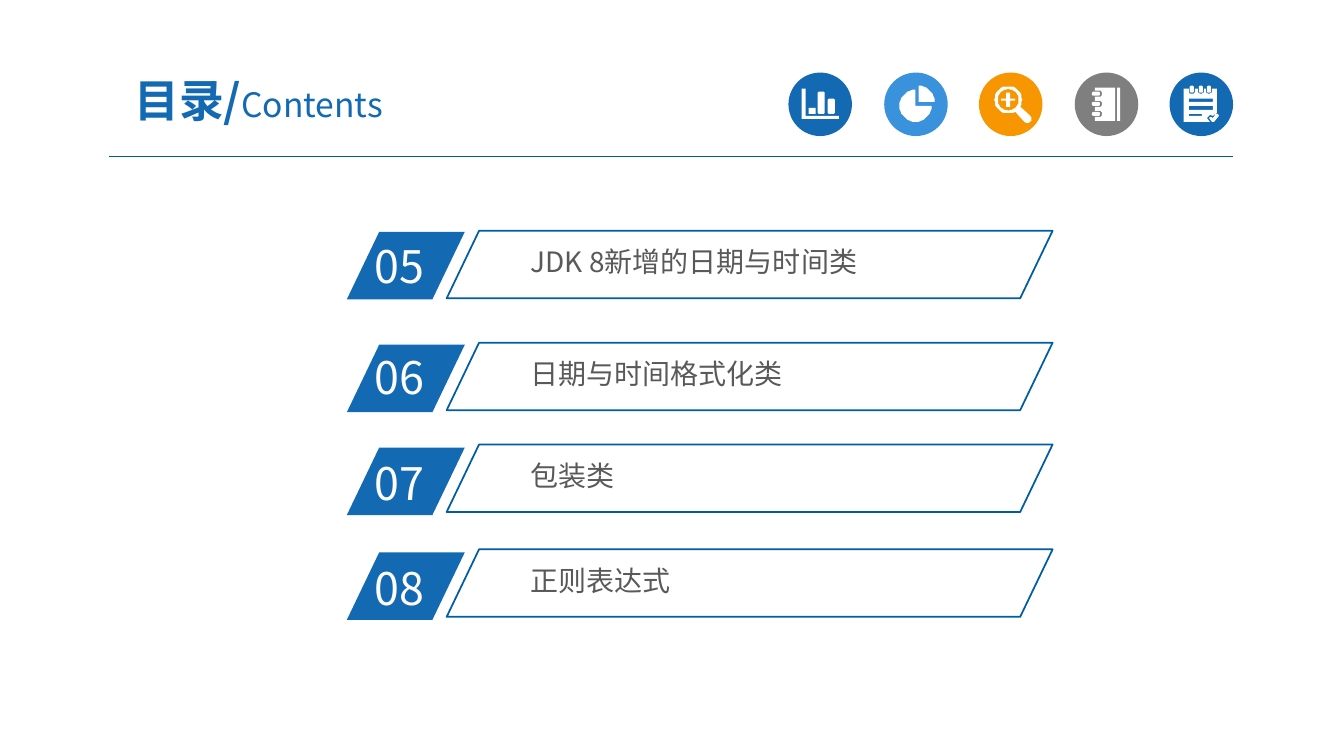
"""Builds a contents slide with four numbered entries and a row of header icons."""
import math
from dataclasses import dataclass

import pptx
import pptx.dml.color
import pptx.enum.shapes
import pptx.enum.text
import pptx.oxml
import pptx.oxml.ns
import pptx.util

PX = 9144
SLIDE_SIZE = (1333, 750)
ICON_TOP, ICON_SIZE = 72, 63
SHAPES = pptx.enum.shapes.MSO_SHAPE
ANCHOR = pptx.enum.text.MSO_ANCHOR
ALIGN = pptx.enum.text.PP_ALIGN


@dataclass(frozen=True)
class Theme:
    font: str = "Noto Sans CJK SC"
    blue: str = "1369B2"
    sky: str = "3992DB"
    orange: str = "F79600"
    grey: str = "7F7F7F"
    white: str = "FFFFFF"
    text: str = "595959"
    frame: str = "005DA2"
    rule: str = "005B9E"
    title_size: int = 32
    subtitle_size: int = 24
    number_size: int = 32
    label_size: int = 20
    frame_width: float = 1.25
    rule_width: float = 0.75


THEME = Theme()
ENTRIES = [
    ("05", "JDK 8新增的日期与时间类", 230, 232, 229),
    ("06", "日期与时间格式化类", 342, 342, 340),
    ("07", "包装类", 444, 447, 441),
    ("08", "正则表达式", 548, 551, 545),
]


def emu(*lengths):
    return [pptx.util.Emu(round(length * PX)) for length in lengths]


def color(value):
    return pptx.dml.color.RGBColor.from_string(value)


def apply_format(target, values):
    for name, value in values.items():
        setattr(target, name, value)


def add_run(paragraph, text, size, text_color, bold=False):
    run = paragraph.add_run()
    run.text = text
    apply_format(run.font, {"name": THEME.font, "size": pptx.util.Pt(size), "bold": bold})
    run.font.color.rgb = color(text_color)
    east_asian = pptx.oxml.parse_xml(
        f'<a:ea {pptx.oxml.ns.nsdecls("a")} typeface="{THEME.font}"/>')
    run.font._element.find(pptx.oxml.ns.qn("a:latin")).addnext(east_asian)


def add_text(slide, box, text, size, text_color, margins):
    frame = slide.shapes.add_textbox(*emu(*box)).text_frame
    horizontal, vertical = emu(*margins)
    apply_format(frame, {
        "word_wrap": True, "margin_left": horizontal, "margin_right": horizontal,
        "margin_top": vertical, "margin_bottom": vertical})
    add_run(frame.paragraphs[0], text, size, text_color)


def paint(shape, fill=None, line=None):
    shape.shadow.inherit = False
    if fill:
        shape.fill.solid()
        shape.fill.fore_color.rgb = color(fill)
    else:
        shape.fill.background()
    if line:
        shape.line.color.rgb = color(line)
        shape.line.width = pptx.util.Pt(THEME.frame_width)
    else:
        shape.line.fill.background()


def add_slanted(slide, box, **colors):
    shape = slide.shapes.add_shape(SHAPES.PARALLELOGRAM, *emu(*box))
    shape.adjustments[0] = 0.48
    paint(shape, **colors)


def add_entry(slide, number, label, badge_top, number_top, frame_top):
    add_slanted(slide, (344, badge_top, 117, 67), fill=THEME.blue)
    add_text(slide, (362, number_top, 112, 64), number,
             THEME.number_size, THEME.white, (10, 5))
    add_slanted(slide, (443, frame_top, 601, 67), line=THEME.frame)
    add_text(slide, (519, frame_top + 10, 501, 41), label,
             THEME.label_size, THEME.text, (7, 4))


def arc(x, y, radius, start, end):
    steps = max(6, abs(end - start) // 10)
    angles = [math.radians(start + (end - start) * step / steps) for step in range(steps + 1)]
    return [(x + radius * math.cos(angle), y + radius * math.sin(angle)) for angle in angles]


def rounded(left, top, width, height, radius):
    right, bottom = left + width - radius, top + height - radius
    left, top = left + radius, top + radius
    return (arc(left, top, radius, 180, 270) + arc(right, top, radius, 270, 360)
            + arc(right, bottom, radius, 0, 90) + arc(left, bottom, radius, 90, 180))


def chart_icon():
    axes = [(13, 16), (17, 16), (17, 43), (50, 43), (50, 46), (13, 46)]
    bars = [(20, 35, 7, 6, 1), (29, 19, 7, 22, 2), (39, 26, 7, 15, 2)]
    return [axes] + [rounded(*bar) for bar in bars]


def pie_icon():
    return [[(34, 29)] + arc(34, 29, 16, 270, 360), [(31, 33)] + arc(31, 33, 16, 0, 270)]


def magnifier_icon():
    x, y, arm, half = 29, 27, 7, 1.5
    glass = arc(x, y, 13.5, 60, 390) + arc(48, 46, 4, -45, 135)
    corner = [(half, -arm), (half, -half), (arm, -half)]
    plus = []
    for _ in range(4):
        plus += [(x + across, y + down) for across, down in corner]
        corner = [(-down, across) for across, down in corner]
    return [glass, arc(x, y, 10.5, 0, 360), plus]


def notebook_icon():
    rings = (41, 31, 21)
    cover = [(20, 15), (40, 15), (40, 48), (20, 48)]
    for y in rings:
        cover += [(20, y + 3.5)] + arc(23.5, y, 3.5, 90, -90) + [(20, y - 3.5)]
    return [cover, rounded(42, 15, 3, 33, 1)] + [rounded(17, y - 2, 8, 4, 2) for y in rings]


def notepad_icon():
    rings = (22, 31, 39)
    sheet = [(14, 16)]
    for x in rings:
        sheet += [(x - 3, 16)] + arc(x, 18, 3, 180, 0) + [(x + 3, 16)]
    sheet += [(47, 16), (47, 40), (43, 43), (40, 42), (37, 45), (40, 49), (14, 49)]
    check = [(39, 45), (41, 44), (43, 45), (46, 41), (48, 41), (49, 43), (44, 49), (42, 49)]
    lines = [(19, 26, 24, 3, 1), (19, 33, 24, 4, 1), (19, 41, 13, 2, 1)]
    return ([sheet, check] + [rounded(*line) for line in lines]
            + [rounded(x - 2, 13, 4, 7, 2) for x in rings])


def add_icon(slide, left, fill, contours):
    circle = slide.shapes.add_shape(
        SHAPES.OVAL, *emu(left, ICON_TOP, ICON_SIZE, ICON_SIZE))
    paint(circle, fill=fill)
    placed = [[(left + x, ICON_TOP + y) for x, y in contour] for contour in contours]
    builder = slide.shapes.build_freeform(*placed[0][0], scale=PX)
    builder.add_line_segments(placed[0][1:], close=True)
    for contour in placed[1:]:
        builder.move_to(*contour[0])
        builder.add_line_segments(contour[1:], close=True)
    paint(builder.convert_to_shape(), fill=THEME.white)


def add_rule(slide):
    rule = slide.shapes.add_connector(
        pptx.enum.shapes.MSO_CONNECTOR.STRAIGHT, *emu(108, 155, 1223, 155))
    rule.line.color.rgb = color(THEME.rule)
    rule.line.width = pptx.util.Pt(THEME.rule_width)
    rule._element.spPr.append(
        pptx.oxml.parse_xml(f'<a:effectLst {pptx.oxml.ns.nsdecls("a")}/>'))


def set_title(slide):
    title = slide.shapes.title
    apply_format(title, dict(zip(("left", "top", "width", "height"), emu(92, 63, 329, 72))))
    apply_format(title.text_frame, {
        "vertical_anchor": ANCHOR.MIDDLE, "word_wrap": True,
        "auto_size": pptx.enum.text.MSO_AUTO_SIZE.NONE})
    paragraph = title.text_frame.paragraphs[0]
    apply_format(paragraph, {"alignment": ALIGN.CENTER, "space_before": pptx.util.Pt(0)})
    add_run(paragraph, "目录/", THEME.title_size, THEME.blue, bold=True)
    add_run(paragraph, "Contents", THEME.subtitle_size, THEME.blue)


def main():
    presentation = pptx.Presentation()
    presentation.slide_width, presentation.slide_height = emu(*SLIDE_SIZE)
    slide = presentation.slides.add_slide(presentation.slide_layouts[5])
    set_title(slide)
    add_rule(slide)
    icons = [(THEME.blue, chart_icon), (THEME.sky, pie_icon), (THEME.orange, magnifier_icon),
             (THEME.grey, notebook_icon), (THEME.blue, notepad_icon)]
    for index, (fill, draw) in enumerate(icons):
        add_icon(slide, 782 + (189 * index + 1) // 2, fill, draw())
    for entry in ENTRIES:
        add_entry(slide, *entry)
    presentation.save("out.pptx")


if __name__ == "__main__":
    main()
